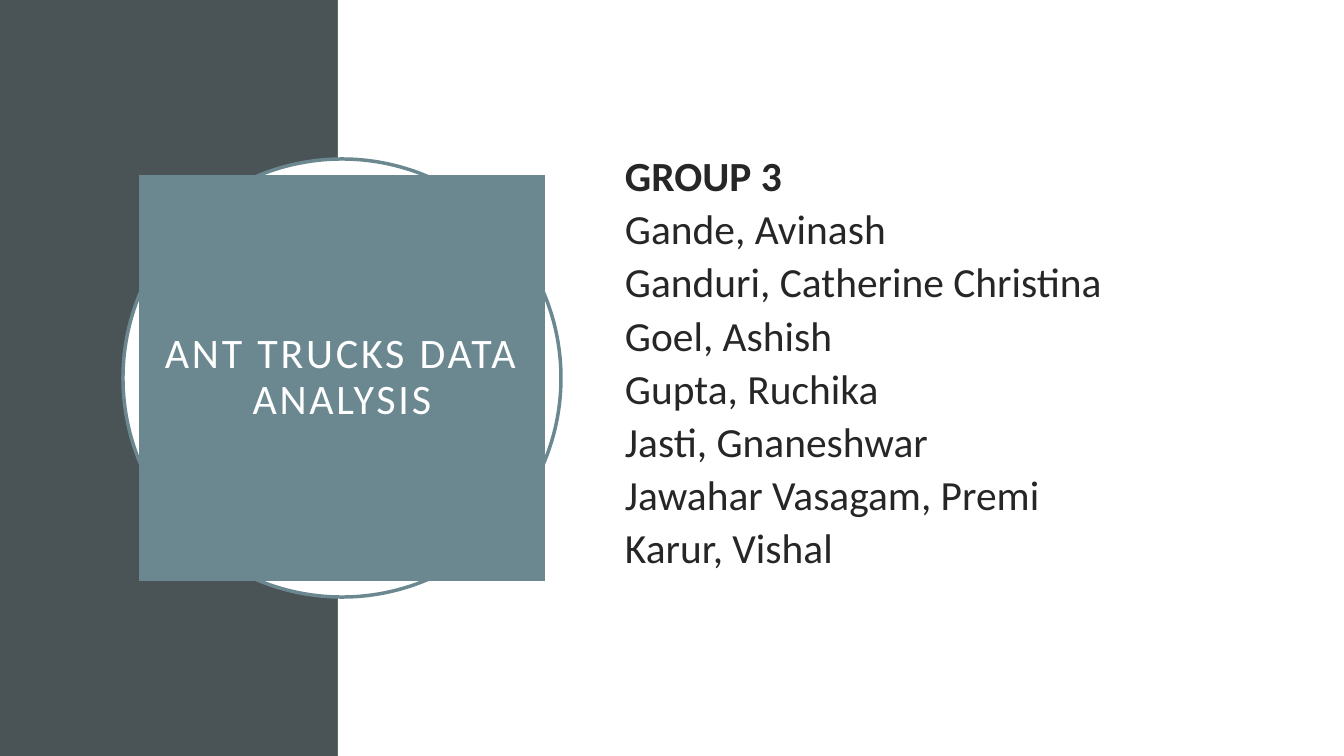
from pptx import Presentation
from pptx.dml.color import RGBColor
from pptx.enum.shapes import MSO_SHAPE
from pptx.enum.text import MSO_ANCHOR, PP_ALIGN
from pptx.util import Pt

SCALE = 914400 / 100.8
HUES = {"slate": "4A5356", "teal": "6B8891", "white": "FFFFFF", "ink": "262626"}


def px(*nums):
    return [round(n * SCALE) for n in nums]


def write(frame, text, first=False, size=30, hue="ink", bold=False,
          align=PP_ALIGN.LEFT, lines=0.8, before=0, track=0):
    para = frame.paragraphs[0] if first else frame.add_paragraph()
    para.alignment = align
    para.line_spacing = lines
    para.space_before = Pt(before)
    run = para.add_run()
    run.text = text
    font = run.font
    font.name = "Calibri"
    font.size = Pt(size)
    font.bold = bold
    font.color.rgb = RGBColor.from_string(HUES[hue])
    if track:
        run._r.get_or_add_rPr().set("spc", str(track * 100))


deck = Presentation()
deck.slide_width, deck.slide_height = px(1344, 756)
slide = deck.slides.add_slide(deck.slide_layouts[6])

parts = [
    (MSO_SHAPE.RECTANGLE, (0, 0, 338, 756), "slate", None),
    (MSO_SHAPE.RECTANGLE, (338, 0, 1006, 756), "white", None),
    (MSO_SHAPE.OVAL, (123, 159, 438, 438), "white", "teal"),
    (MSO_SHAPE.RECTANGLE, (139, 175, 406, 406), "teal", None),
]
for kind, box, fill, edge in parts:
    shape = slide.shapes.add_shape(kind, *px(*box))
    shape.shadow.inherit = False
    shape.fill.solid()
    shape.fill.fore_color.rgb = RGBColor.from_string(HUES[fill])
    if edge:
        shape.line.color.rgb = RGBColor.from_string(HUES[edge])
        shape.line.width = Pt(2.5)
    else:
        shape.line.fill.background()

title = shape.text_frame
title.word_wrap = True
title.vertical_anchor = MSO_ANCHOR.MIDDLE
title.margin_left, title.margin_top, title.margin_right, title.margin_bottom = px(20, 20, 20, 20)
write(title, "ANT TRUCKS DATA ANALYSIS", first=True, hue="white",
      align=PP_ALIGN.CENTER, lines=0.9, track=2)

names = [
    "GROUP 3",
    "Gande, Avinash",
    "Ganduri, Catherine Christina",
    "Goel, Ashish",
    "Gupta, Ruchika",
    "Jasti, Gnaneshwar",
    "Jawahar Vasagam, Premi",
    "Karur, Vishal",
]
group = slide.shapes.add_textbox(*px(625, 160, 570, 420)).text_frame
group.word_wrap = True
group.vertical_anchor = MSO_ANCHOR.TOP
group.margin_left = group.margin_top = group.margin_right = group.margin_bottom = 0
for i, name in enumerate(names):
    write(group, name, first=i == 0, size=29.6, bold=i == 0, before=9.5 if i else 0)

deck.save("out.pptx")
